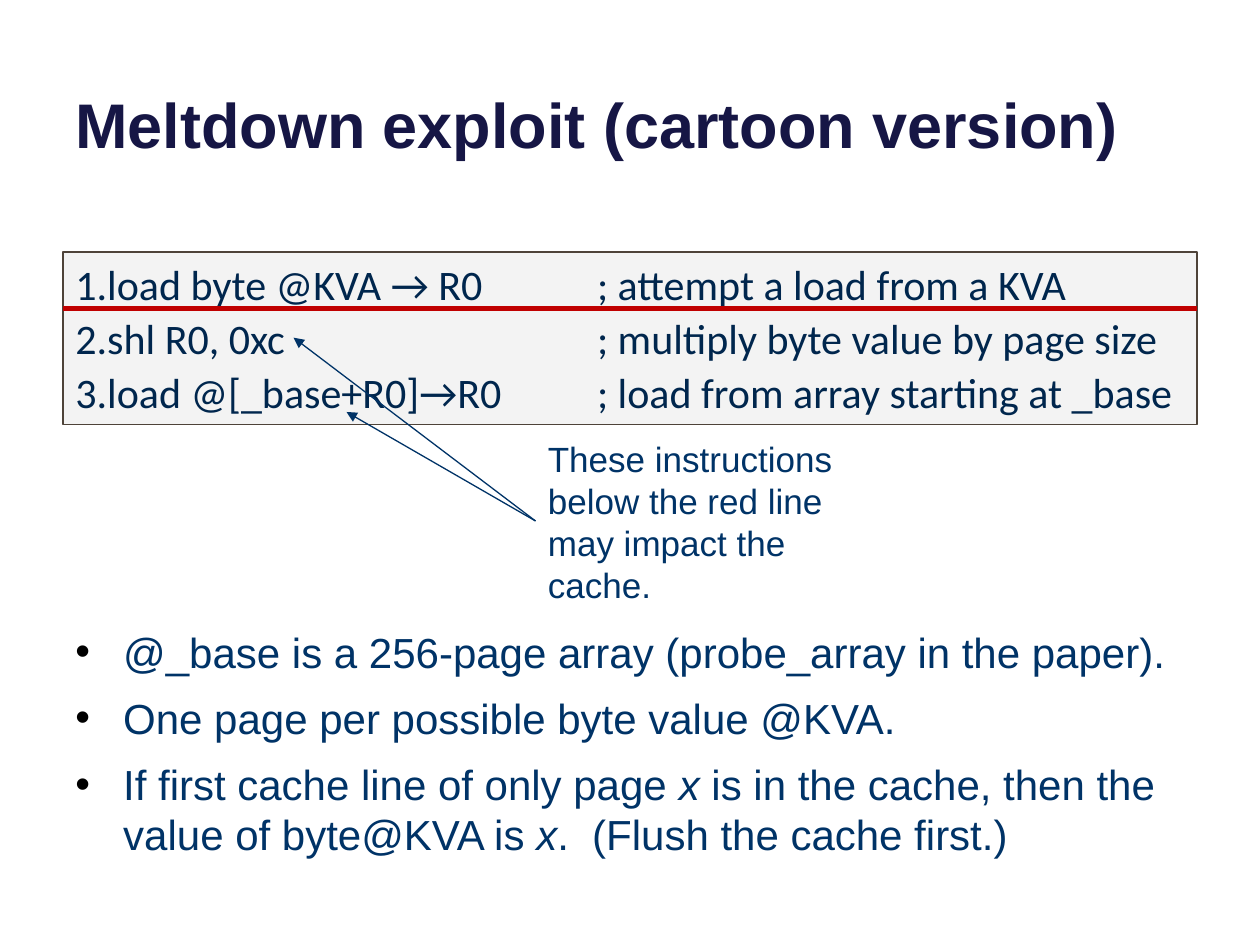
from dataclasses import dataclass

from lxml.etree import SubElement
from pptx import Presentation
from pptx.dml.color import RGBColor as Color
from pptx.enum.shapes import MSO_CONNECTOR as Connector, MSO_SHAPE as Shape
from pptx.enum.text import MSO_ANCHOR as Anchor, PP_ALIGN as Align
from pptx.oxml.ns import qn
from pptx.util import Inches, Pt


@dataclass(frozen=True)
class Theme:
    """Colours, fonts and type sizes of the slide."""
    heading: str = "161645"
    ink: str = "003367"
    code_ink: str = "00264D"
    code_fill: str = "F3F3F3"
    code_border: str = "4E4339"
    barrier: str = "C00000"
    bullet: str = "000000"
    sans: str = "Arial"
    code_font: str = "Calibri"
    heading_size: int = 36
    body_size: int = 24
    note_size: int = 20


THEME = Theme()
LEFT, WIDTH = 0.5, 9
CODE_TOP, CODE_HEIGHT, COMMENT_LEFT = 2, 1.37, 4.64
NOTE_LEFT, NOTE_TOP, NOTE_WIDTH, NOTE_HEIGHT = 4.25, 3.58, 2.9, 1.11
BARRIER_Y = 2.45

TITLE = "Meltdown exploit (cartoon version)"
CODE = [
    ("load byte @KVA → R0", "; attempt a load from a KVA"),
    ("shl R0, 0xc", "; multiply byte value by page size"),
    ("load @[_base+R0]→R0", "; load from array starting at _base"),
]
NOTE = "These instructions below the red line may impact the cache."
NOTE_TARGETS = [(2.33, 2.68), (2.75, 3.27)]
POINTS = [
    [("@_base is a 256-page array (probe_array in the paper).", False)],
    [("One page per possible byte value @KVA.", False)],
    [("If first cache line of only page ", False), ("x", True),
     (" is in the cache, then the value of byte@KVA is ", False), ("x", True),
     (".  (Flush the cache first.)", False)],
]


def style(font, name, size, color, bold=False):
    font.name, font.size, font.bold = name, Pt(size), bold
    font.color.rgb = Color.from_string(color)


def add_text(slide, box, text, name, size, color, anchor=Anchor.TOP, bold=False):
    frame = slide.shapes.add_textbox(*map(Inches, box)).text_frame
    fill_frame(frame, text, name, size, color, anchor, bold)
    return frame


def fill_frame(frame, text, name, size, color, anchor=Anchor.TOP, bold=False):
    frame.word_wrap, frame.vertical_anchor = True, anchor
    frame.text = text
    for paragraph in frame.paragraphs:
        paragraph.alignment = Align.LEFT
        for run in paragraph.runs:
            style(run.font, name, size, color, bold)


def hang(paragraph, indent):
    props = paragraph._p.get_or_add_pPr()
    props.set("marL", str(Inches(indent)))
    props.set("indent", str(-Inches(indent)))
    return props


def add_line(slide, start, end, color, width, arrow=False):
    line = slide.shapes.add_connector(
        Connector.STRAIGHT, *map(Inches, (*start, *end)))
    line.line.color.rgb = Color.from_string(color)
    line.line.width = Pt(width)
    props = line._element.spPr
    if arrow:
        SubElement(props.find(qn("a:ln")), qn("a:tailEnd"), type="triangle")
    SubElement(props, qn("a:effectLst"))


def add_code(slide):
    panel = slide.shapes.add_shape(
        Shape.RECTANGLE, *map(Inches, (LEFT, CODE_TOP, WIDTH, CODE_HEIGHT)))
    panel.shadow.inherit = False
    panel.fill.solid()
    panel.fill.fore_color.rgb = Color.from_string(THEME.code_fill)
    panel.line.color.rgb = Color.from_string(THEME.code_border)
    panel.line.width = Pt(0.75)

    instructions, comments = ("\n".join(column) for column in zip(*CODE))
    look = (THEME.code_font, THEME.body_size, THEME.code_ink)
    fill_frame(panel.text_frame, instructions, *look)
    comment_box = (COMMENT_LEFT, CODE_TOP, LEFT + WIDTH - COMMENT_LEFT, CODE_HEIGHT)
    comment_frame = add_text(slide, comment_box, comments, *look)
    for paragraph in panel.text_frame.paragraphs:
        SubElement(hang(paragraph, 0.25), qn("a:buAutoNum"), type="arabicPeriod")
    for frame in (panel.text_frame, comment_frame):
        for paragraph in frame.paragraphs:
            paragraph.space_after = Pt(2)


def add_points(slide):
    frame = add_text(slide, (LEFT, 4.92, WIDTH, 2.42), "\n" * (len(POINTS) - 1),
                     THEME.sans, THEME.body_size, THEME.ink)
    for index, (paragraph, pieces) in enumerate(zip(frame.paragraphs, POINTS)):
        props = hang(paragraph, 0.38)
        SubElement(SubElement(props, qn("a:buClr")), qn("a:srgbClr"), val=THEME.bullet)
        SubElement(props, qn("a:buFont"), typeface=THEME.sans)
        SubElement(props, qn("a:buChar"), char="•")
        paragraph.space_before = Pt(9 if index else 0)
        for words, italic in pieces:
            run = paragraph.add_run()
            run.text = words
            style(run.font, THEME.sans, THEME.body_size, THEME.ink)
            run.font.italic = italic


def main():
    """Build the Meltdown exploit slide."""
    deck = Presentation()
    deck.slide_width, deck.slide_height = Inches(10), Inches(7.5)
    slide = deck.slides.add_slide(deck.slide_layouts[6])
    add_text(slide, (LEFT, -0.37, WIDTH, 1.7), TITLE, THEME.sans,
             THEME.heading_size, THEME.heading, Anchor.BOTTOM, bold=True)
    add_points(slide)
    add_code(slide)
    add_line(slide, (LEFT, BARRIER_Y), (LEFT + WIDTH, BARRIER_Y), THEME.barrier, 3)
    add_text(slide, (NOTE_LEFT, NOTE_TOP, NOTE_WIDTH, NOTE_HEIGHT), NOTE,
             THEME.sans, THEME.note_size, THEME.ink, Anchor.MIDDLE)
    for target in NOTE_TARGETS:
        add_line(slide, (NOTE_LEFT, NOTE_TOP + NOTE_HEIGHT / 2), target,
                 THEME.ink, 0.75, arrow=True)
    deck.save("out.pptx")


if __name__ == "__main__":
    main()
